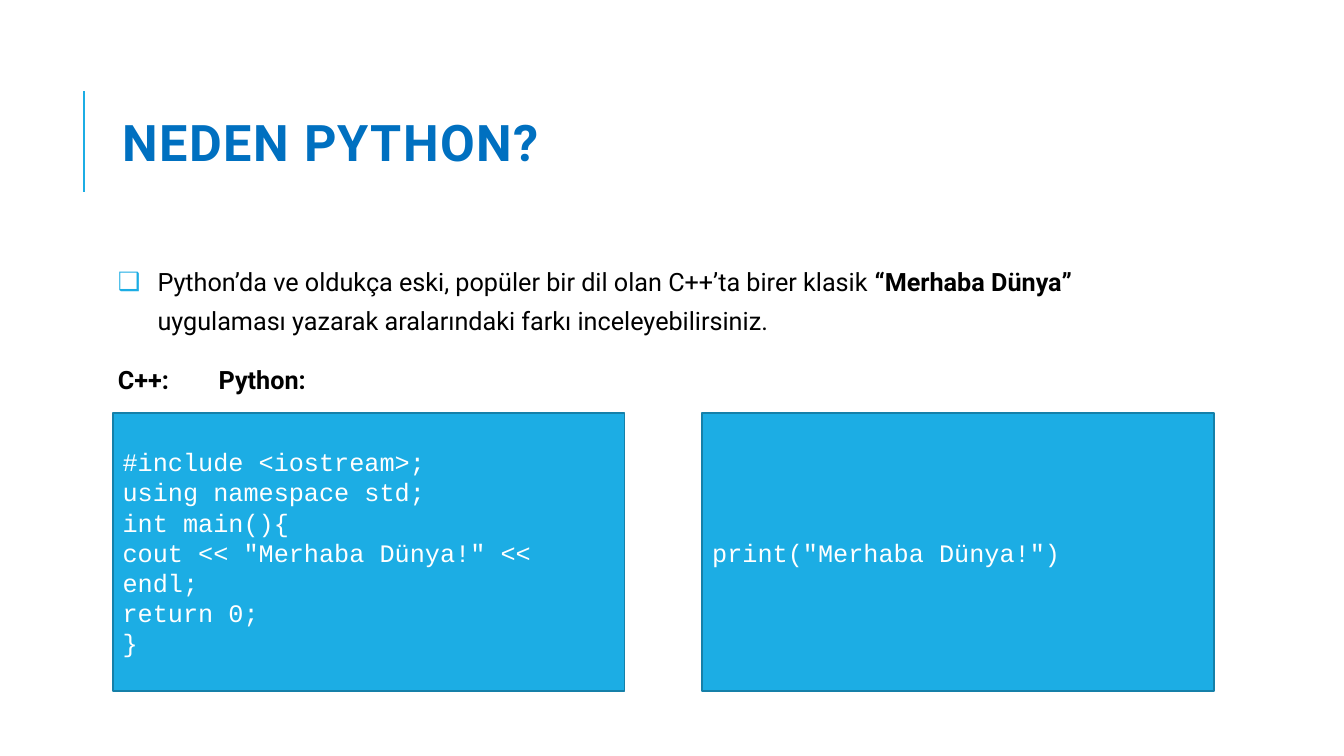
from lxml import etree
from pptx import Presentation
from pptx.dml.color import RGBColor
from pptx.enum.shapes import MSO_CONNECTOR, MSO_SHAPE
from pptx.enum.text import MSO_ANCHOR, MSO_AUTO_SIZE, PP_ALIGN
from pptx.oxml.ns import qn
from pptx.util import Cm, Pt

STRAIGHT = MSO_CONNECTOR.STRAIGHT
RECTANGLE = MSO_SHAPE.RECTANGLE
MIDDLE, TOP = MSO_ANCHOR.MIDDLE, MSO_ANCHOR.TOP
NO_AUTOFIT = MSO_AUTO_SIZE.NONE
LEFT = PP_ALIGN.LEFT

COLORS = {
    "accent": "1CADE4",
    "outline": "1580A9",
    "title": "0070C0",
    "text": "000000",
    "code": "FFFFFF",
}
TEXT_FONT, CODE_FONT = "Roboto", "Courier New"
TEXT_SIZE = 18

MARGIN = 2.84
CONTENT_WIDTH = 27
CODE_WIDTH, CODE_GAP = 12.9, 1.96
BULLET_INDENT = 1
LABEL_TAB = 14.6

CPP_CODE = [
    "#include <iostream>;",
    "using namespace std;",
    "int main(){",
    'cout << "Merhaba Dünya!" << endl;',
    "return 0;",
    "}",
]
PYTHON_CODE = ['print("Merhaba Dünya!")']


def color(name):
    return RGBColor.from_string(COLORS[name])


def place(shape, left, top, width, height):
    shape.left, shape.top = Cm(left), Cm(top)
    shape.width, shape.height = Cm(width), Cm(height)


def add_run(paragraph, text, font_name, size, color_name, bold=False):
    run = paragraph.add_run()
    run.text = text
    run.font.name = font_name
    run.font.size = Pt(size)
    run.font.bold = bold
    run.font.color.rgb = color(color_name)
    return run


def add_property(parent, tag, **attributes):
    return etree.SubElement(parent, qn(tag), **attributes)


def set_indent(paragraph, margin, first_line):
    properties = paragraph._p.get_or_add_pPr()
    properties.set("marL", str(Cm(margin)))
    properties.set("indent", str(Cm(first_line)))
    return properties


def build_title(slide, left, top, width, height):
    title = slide.shapes.title
    place(title, left, top, width, height)
    frame = title.text_frame
    frame.word_wrap = True
    frame.auto_size = NO_AUTOFIT
    frame.vertical_anchor = MIDDLE
    paragraph = frame.paragraphs[0]
    paragraph.alignment = LEFT
    paragraph.line_spacing = 0.8
    run = add_run(paragraph, "NEDEN PYTHON?", TEXT_FONT, 36, "title", bold=True)
    run._r.get_or_add_rPr().set("spc", "100")

    rule_left = Cm(left - 0.73)
    rule = slide.shapes.add_connector(
        STRAIGHT, rule_left, Cm(top + 3.2), rule_left, Cm(top + 0.66))
    rule.line.color.rgb = color("accent")
    rule.line.width = Pt(1.5)
    add_property(rule._element.spPr, "a:effectLst")


def build_body(slide, left, top, width, height):
    body = slide.placeholders[1]
    place(body, left, top, width, height)
    frame = body.text_frame
    frame.word_wrap = True
    frame.auto_size = NO_AUTOFIT
    frame.vertical_anchor = TOP
    frame.margin_left = frame.margin_right = Cm(0.13)
    frame.margin_top = frame.margin_bottom = Cm(0.13)

    intro = frame.paragraphs[0]
    properties = set_indent(intro, BULLET_INDENT, -BULLET_INDENT)
    bullet_color = add_property(properties, "a:buClr")
    add_property(bullet_color, "a:srgbClr", val=COLORS["accent"])
    add_property(properties, "a:buChar", char="❑")

    labels = frame.add_paragraph()
    properties = set_indent(labels, 0, 0)
    add_property(properties, "a:buNone")
    tabs = add_property(properties, "a:tabLst")
    add_property(tabs, "a:tab", pos=str(Cm(LABEL_TAB)), algn="l")

    for paragraph, space_before in ((intro, 0), (labels, 12)):
        paragraph.alignment = LEFT
        paragraph.line_spacing = 1.3
        paragraph.space_before = Pt(space_before)
        paragraph.space_after = Pt(2)

    for paragraph, text, bold in (
        (intro, "Python’da ve oldukça eski, popüler bir dil olan C++’ta birer klasik ", False),
        (intro, "“Merhaba Dünya” ", True),
        (intro, "uygulaması yazarak aralarındaki farkı inceleyebilirsiniz.", False),
        (labels, "C++:\tPython:", True),
    ):
        add_run(paragraph, text, TEXT_FONT, TEXT_SIZE, "text", bold)


def build_code_box(slide, code_lines, left, top, width, height):
    box = slide.shapes.add_shape(RECTANGLE, Cm(left), Cm(top), Cm(width), Cm(height))
    box.shadow.inherit = False
    box.fill.solid()
    box.fill.fore_color.rgb = color("accent")
    box.line.color.rgb = color("outline")
    box.line.width = Pt(1.25)
    frame = box.text_frame
    frame.word_wrap = True
    frame.vertical_anchor = MIDDLE
    for index, code_line in enumerate(code_lines):
        paragraph = frame.add_paragraph() if index else frame.paragraphs[0]
        paragraph.alignment = LEFT
        add_run(paragraph, code_line, CODE_FONT, TEXT_SIZE, "code")


def main():
    presentation = Presentation()
    presentation.slide_width, presentation.slide_height = Cm(33.87), Cm(19.05)
    slide = presentation.slides.add_slide(presentation.slide_layouts[1])
    build_title(slide, MARGIN, 1.63, CONTENT_WIDTH, 4.17)
    build_body(slide, MARGIN, 6.35, CONTENT_WIDTH, 11.18)
    for column, code_lines in enumerate((CPP_CODE, PYTHON_CODE)):
        left = MARGIN + column * (CODE_WIDTH + CODE_GAP)
        build_code_box(slide, code_lines, left, 10.41, CODE_WIDTH, 7.01)
    presentation.save("out.pptx")


if __name__ == "__main__":
    main()
